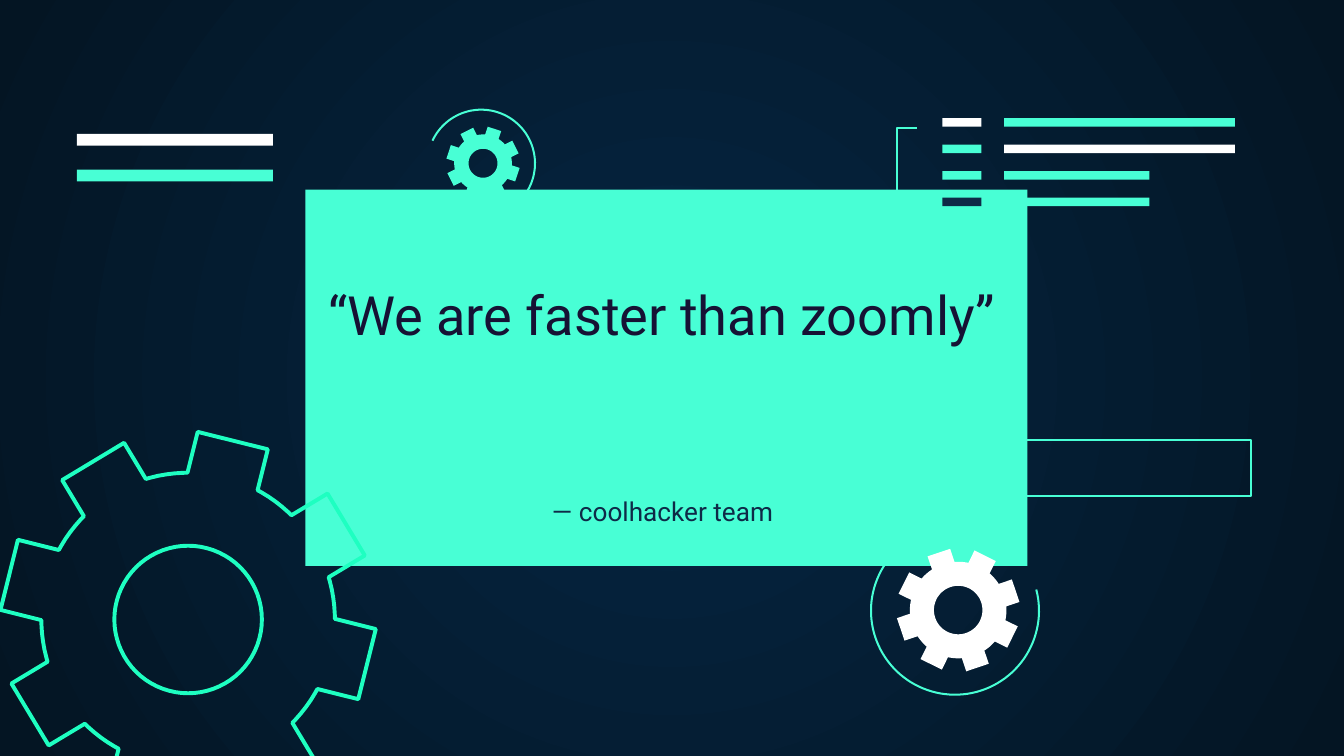
from math import cos, radians, sin

from pptx import Presentation
from pptx.dml.color import RGBColor
from pptx.enum.shapes import MSO_SHAPE
from pptx.enum.text import MSO_ANCHOR, MSO_AUTO_SIZE, PP_ALIGN
from pptx.oxml import parse_xml
from pptx.oxml.ns import qn
from pptx.util import Pt

RECTANGLE = MSO_SHAPE.RECTANGLE
CENTER = PP_ALIGN.CENTER
TOP, BOTTOM = MSO_ANCHOR.TOP, MSO_ANCHOR.BOTTOM
NO_AUTOFIT = MSO_AUTO_SIZE.NONE

MINT, BRIGHT_MINT, WHITE = "48FFD5", "1EFFC1", "FFFFFF"
NAVY, INK = "0E2A47", "161234"
FONT = "Roboto"
THIN = 1.09


def color(hex_value):
    return RGBColor.from_string(hex_value)


def style(shape, fill=None, line=None, width=THIN):
    shape.shadow.inherit = False
    if fill:
        shape.fill.solid()
        shape.fill.fore_color.rgb = color(fill)
    else:
        shape.fill.background()
    if line:
        shape.line.color.rgb = color(line)
        shape.line.width = Pt(width)
    else:
        shape.line.fill.background()


def rectangle(slide, box, **look):
    style(slide.shapes.add_shape(RECTANGLE, *map(Pt, box)), **look)


def outline(slide, contours, close, **look):
    """Draw one freeform from a list of point lists."""
    contours = [[(Pt(x), Pt(y)) for x, y in points] for points in contours]
    builder = slide.shapes.build_freeform(*contours[0][0])
    for index, points in enumerate(contours):
        if index:
            builder.move_to(*points[0])
        builder.add_line_segments(points[1:], close=close)
    style(builder.convert_to_shape(), **look)


def arc_points(cx, cy, radius, start, end, steps):
    angles = [radians(start + (end - start) * i / steps) for i in range(steps + 1)]
    return [(cx + radius * cos(a), cy + radius * sin(a)) for a in angles]


def gear(slide, left, top, size, angle, **look):
    """Eight straight teeth around a round hole."""
    cx, cy = left + size / 2, top + size / 2
    tip, root, half_tooth, hole = (size * part for part in (0.49, 0.39, 0.096, 0.196))
    base = (root ** 2 - half_tooth ** 2) ** 0.5
    rim = []
    for tooth in range(8):
        turn = radians(angle + 45 * tooth)
        for along, across in ((base, -half_tooth), (tip, -half_tooth),
                              (tip, half_tooth), (base, half_tooth)):
            rim.append((cx + along * cos(turn) - across * sin(turn),
                        cy + along * sin(turn) + across * cos(turn)))
        # Rounded root up to the next tooth
        rim += arc_points(cx, cy, root, angle + 45 * tooth + 16,
                          angle + 45 * tooth + 29, 4)
    outline(slide, [rim, arc_points(cx, cy, hole, 0, 360, 72)], True, **look)


def orbit(slide, left, top, size, start, end):
    """Open ring around a gear."""
    radius = size / 2
    points = arc_points(left + radius, top + radius, radius, start, end, 80)
    outline(slide, [points], False, line=MINT)


def code_list(slide, left, top):
    """Bracket and four rows of code bars."""
    rows = ((WHITE, MINT, 123.6), (MINT, WHITE, 123.6),
            (MINT, MINT, 77.8), (NAVY, MINT, 77.8))
    for index, (key_fill, value_fill, length) in enumerate(rows):
        y = top + 14.2 * index
        rectangle(slide, (left + 24.5, y, 20.9, 4.6), fill=key_fill)
        rectangle(slide, (left + 57.6, y, length, 4.6), fill=value_fill)
    bracket = [(left + 11.4, top + 48.7), (left, top + 48.7),
               (left, top + 5.2), (left + 10.8, top + 5.2)]
    outline(slide, [bracket], False, line=MINT)


def heading_bars(slide, left, top):
    for index, fill in enumerate((WHITE, MINT)):
        rectangle(slide, (left, top + 19.1 * index, 105.1, 6.3), fill=fill)


def fill_placeholder(slide, placeholder, box, text, size, hex_value, anchor):
    placeholder.left, placeholder.top, placeholder.width, placeholder.height = map(Pt, box)
    slide.shapes._spTree.append(placeholder._element)  # bring to front
    frame = placeholder.text_frame
    frame.text = text
    frame.word_wrap = True
    frame.auto_size = NO_AUTOFIT
    frame.vertical_anchor = anchor
    frame.margin_left = frame.margin_right = Pt(7.2)
    frame.margin_top = frame.margin_bottom = Pt(7.2)
    paragraph = frame.paragraphs[0]
    paragraph.alignment = CENTER
    paragraph.space_before = Pt(0)
    font = paragraph.runs[0].font
    font.name, font.size = FONT, Pt(size)
    font.color.rgb = color(hex_value)


def radial_background(slide, inner, outer):
    fill = slide.background.fill
    fill.gradient()
    for stop, hex_value in zip(fill.gradient_stops, (inner, outer)):
        stop.color.rgb = color(hex_value)
    linear = next(slide._element.iter(qn("a:lin")))
    linear.getparent().replace(linear, parse_xml(
        '<a:path xmlns:a="http://schemas.openxmlformats.org/drawingml/2006/main" '
        'path="circle"><a:fillToRect l="50000" t="50000" r="50000" b="50000"/></a:path>'))


def quote_slide(prs):
    slide = prs.slides.add_slide(prs.slide_layouts[0])
    radial_background(slide, "052643", "041523")

    # Quote panel
    rectangle(slide, (163.6, 101.6, 386.8, 201.6), fill=MINT)

    # Gears and their rings
    orbit(slide, 229, 58.8, 57.6, 205, 456)
    orbit(slide, 466.6, 282.2, 90, -14.6, 233)
    gear(slide, 0, 231.1, 201.6, 14, line=BRIGHT_MINT, width=2.1)
    gear(slide, 480.2, 293.7, 66.3, -18.6, fill=WHITE)
    gear(slide, 239, 67.7, 39.6, 18.4, fill=MINT)

    # Code decorations
    code_list(slide, 480.4, 63.3)
    heading_bars(slide, 41.2, 71.8)
    rectangle(slide, (518.4, 235.8, 151.9, 30), line=MINT)

    # Quote and its author
    author, quote = slide.shapes.title, slide.placeholders[1]
    fill_placeholder(slide, author, (203.8, 254.9, 302.4, 34.6),
                     "— coolhacker team", 14, NAVY, BOTTOM)
    fill_placeholder(slide, quote, (157.7, 143.3, 393.8, 111.6),
                     "“We are faster than zoomly”", 29, INK, TOP)


def main():
    prs = Presentation()
    prs.slide_width, prs.slide_height = Pt(720), Pt(405)
    quote_slide(prs)
    prs.save("out.pptx")


if __name__ == "__main__":
    main()
